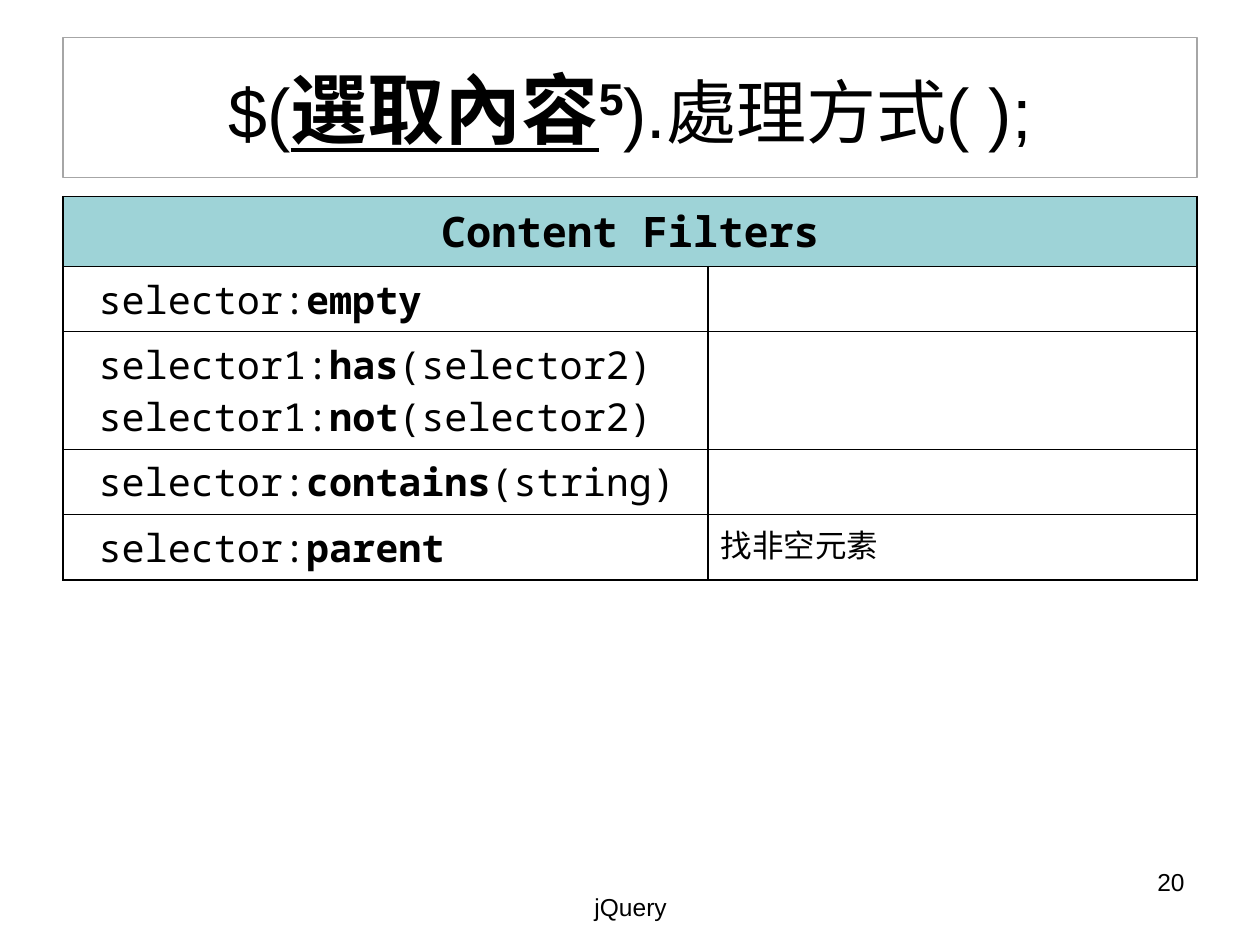
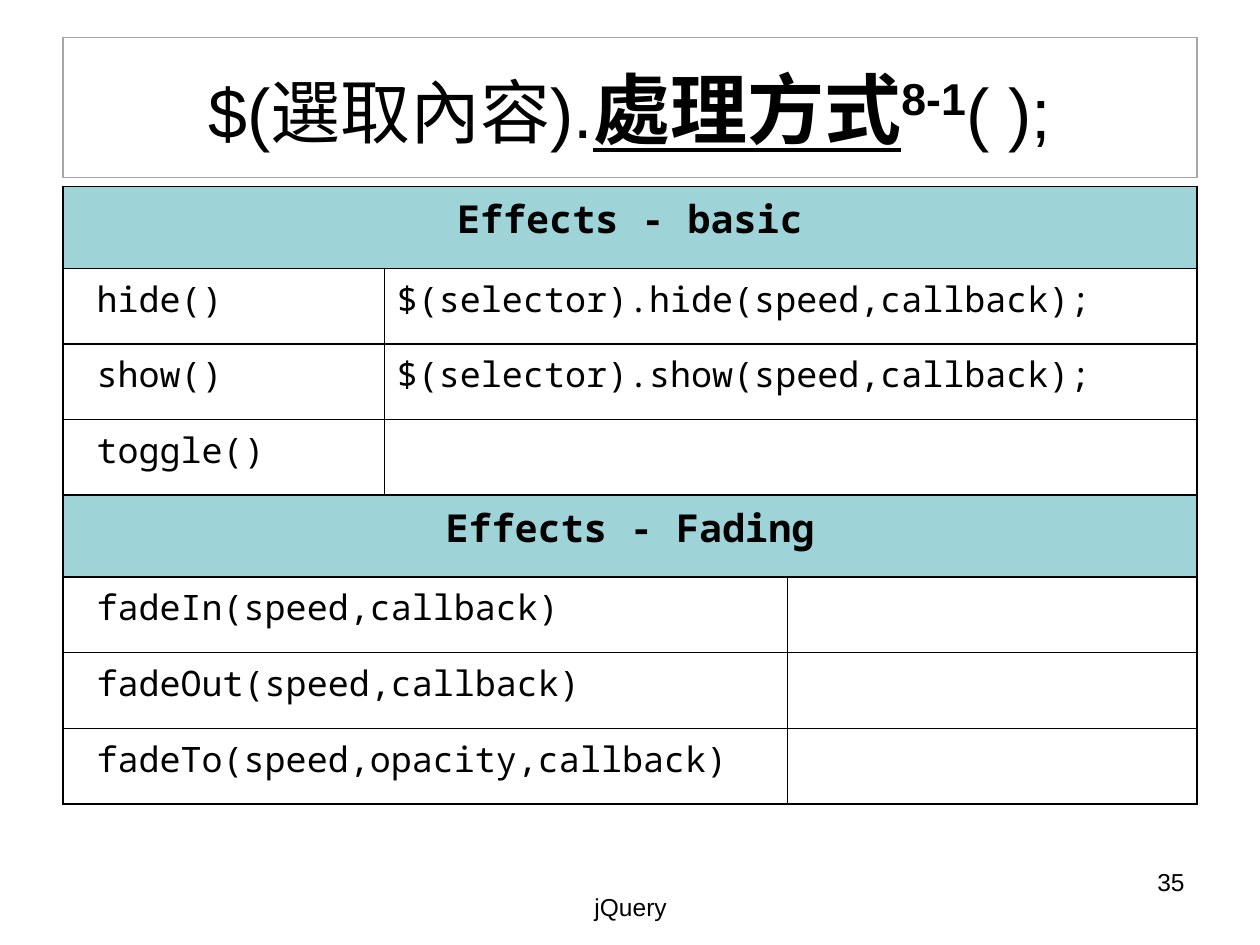
from lxml import etree
from pptx import Presentation
from pptx.dml.color import RGBColor
from pptx.enum.shapes import MSO_SHAPE as Shape
from pptx.enum.text import MSO_ANCHOR as Anchor, PP_ALIGN as Align
from pptx.oxml import parse_xml
from pptx.oxml.ns import nsdecls
from pptx.util import Inches, Pt

BLACK = RGBColor(0x00, 0x00, 0x00)
GRAY = RGBColor(0xA6, 0xA6, 0xA6)
TEAL = RGBColor(0x9E, 0xD3, 0xD7)
SANS, MONO = "Arial", "Noto Sans Mono"

prs = Presentation()
prs.slide_width, prs.slide_height = Inches(10), Inches(7.5)
W, H = prs.slide_width, prs.slide_height
LEFT = int(W * 0.05)
FULL = W - 2 * LEFT


def add_run(p, text, size, font, bold=False):
    r = p.add_run()
    r.text = text
    r.font.size, r.font.name, r.font.bold = Pt(size), font, bold
    r.font.color.rgb = BLACK
    return r


def add_borders(cell):
    tcPr = cell._tc.get_or_add_tcPr()
    for side in "LRTB":
        tcPr.append(parse_xml(
            f'<a:ln{side} {nsdecls("a")} w="{Pt(1)}"><a:solidFill>'
            f'<a:srgbClr val="{BLACK}"/></a:solidFill></a:ln{side}>'))


# A row is (height, cells) and a cell is (column, span, text); a row with one
# full-width cell is a heading. Text between bars is bold.
slides = [
    dict(
        title=["$(", "選取內容", "5", ").處理方式( );"],
        number="20", top=1.56, cols=[5.12, 3.88], head_size=24, size=22,
        rows=[
            (0.5, [(0, 2, "Content Filters")]),
            (0.47, [(0, 1, "selector:|empty|")]),
            (0.83, [(0, 1, "selector1:|has|(selector2)\nselector1:|not|(selector2)")]),
            (0.47, [(0, 1, "selector:|contains|(string)")]),
            (0.47, [(0, 1, "selector:|parent|"), (1, 1, "找非空元素")]),
        ],
        note_size=18,
    ),
    dict(
        title=["$(選取內容).", "處理方式", "8-1", "( );"],
        number="35", top=1.48, cols=[2.55, 3.2, 3.25], head_size=22, size=20,
        rows=[
            (0.65, [(0, 3, "Effects - basic")]),
            (0.6, [(0, 1, "hide()"), (1, 2, "$(selector).hide(speed,callback);")]),
            (0.6, [(0, 1, "show()"), (1, 2, "$(selector).show(speed,callback);")]),
            (0.6, [(0, 1, "toggle()"), (1, 2, "")]),
            (0.65, [(0, 3, "Effects - Fading")]),
            (0.6, [(0, 2, "fadeIn(speed,callback)")]),
            (0.6, [(0, 2, "fadeOut(speed,callback)")]),
            (0.6, [(0, 2, "fadeTo(speed,opacity,callback)")]),
        ],
        note_size=20,
    ),
]

for page in slides:
    s = prs.slides.add_slide(prs.slide_layouts[6])

    # Title box: plain, underlined, superscript, plain
    sp = s.shapes.add_shape(Shape.RECTANGLE, LEFT, int(H * 0.04), FULL, Inches(1.11))
    sp.shadow.inherit = False
    sp.fill.background()
    sp.line.color.rgb, sp.line.width = GRAY, Pt(0.75)
    tf = sp.text_frame
    tf.word_wrap, tf.vertical_anchor = True, Anchor.MIDDLE
    p = tf.paragraphs[0]
    p.alignment = Align.CENTER
    before, picked, index, after = page["title"]
    add_run(p, before, 40, SANS)
    add_run(p, picked, 44, SANS, True).font.underline = True
    add_run(p, index, 44, SANS, True)._r.get_or_add_rPr().set("baseline", "30000")
    add_run(p, after, 40, SANS)

    # Table
    rows, cols = page["rows"], page["cols"]
    height = Inches(sum(h for h, _ in rows))
    table = s.shapes.add_table(len(rows), len(cols), LEFT, Inches(page["top"]),
                               FULL, height).table
    table.first_row = table.horz_banding = False
    for column, width in zip(table.columns, cols):
        column.width = Inches(width)
    for row, (h, _) in zip(table.rows, rows):
        row.height = Inches(h)
    for cell in table.iter_cells():
        add_borders(cell)
        cell.fill.background()

    for i, (_, cells) in enumerate(rows):
        for j, span, text in cells:
            cell = table.cell(i, j)
            heading = span == len(cols)
            if span > 1:
                cell.merge(table.cell(i, j + span - 1))
            if heading:
                cell.fill.solid()
                cell.fill.fore_color.rgb = TEAL
                size = page["head_size"]
            elif j == 0:
                size = page["size"]
                # indent by one monospaced character
                cell.margin_left = Inches(0.1) + Pt(size * 0.6)
            else:
                size = page["note_size"]
            tf = cell.text_frame
            for n, line in enumerate(text.split("\n")):
                p = tf.add_paragraph() if n else tf.paragraphs[0]
                p.alignment = Align.CENTER if heading else Align.LEFT
                for k, part in enumerate(line.split("|")):
                    if part:
                        add_run(p, part, size, MONO, heading or k % 2 == 1)

    # Page number and footer
    for text, x, y, w, h, align in [
        (page["number"], 7.17, 6.83, 2.33, 0.52, Align.RIGHT),
        ("jQuery", 3.42, 7.03, 3.17, 0.5, Align.CENTER),
    ]:
        tf = s.shapes.add_textbox(Inches(x), Inches(y), Inches(w), Inches(h)).text_frame
        tf.word_wrap = True
        p = tf.paragraphs[0]
        p.alignment = align
        add_run(p, text, 14, SANS)

prs.save("out.pptx")
